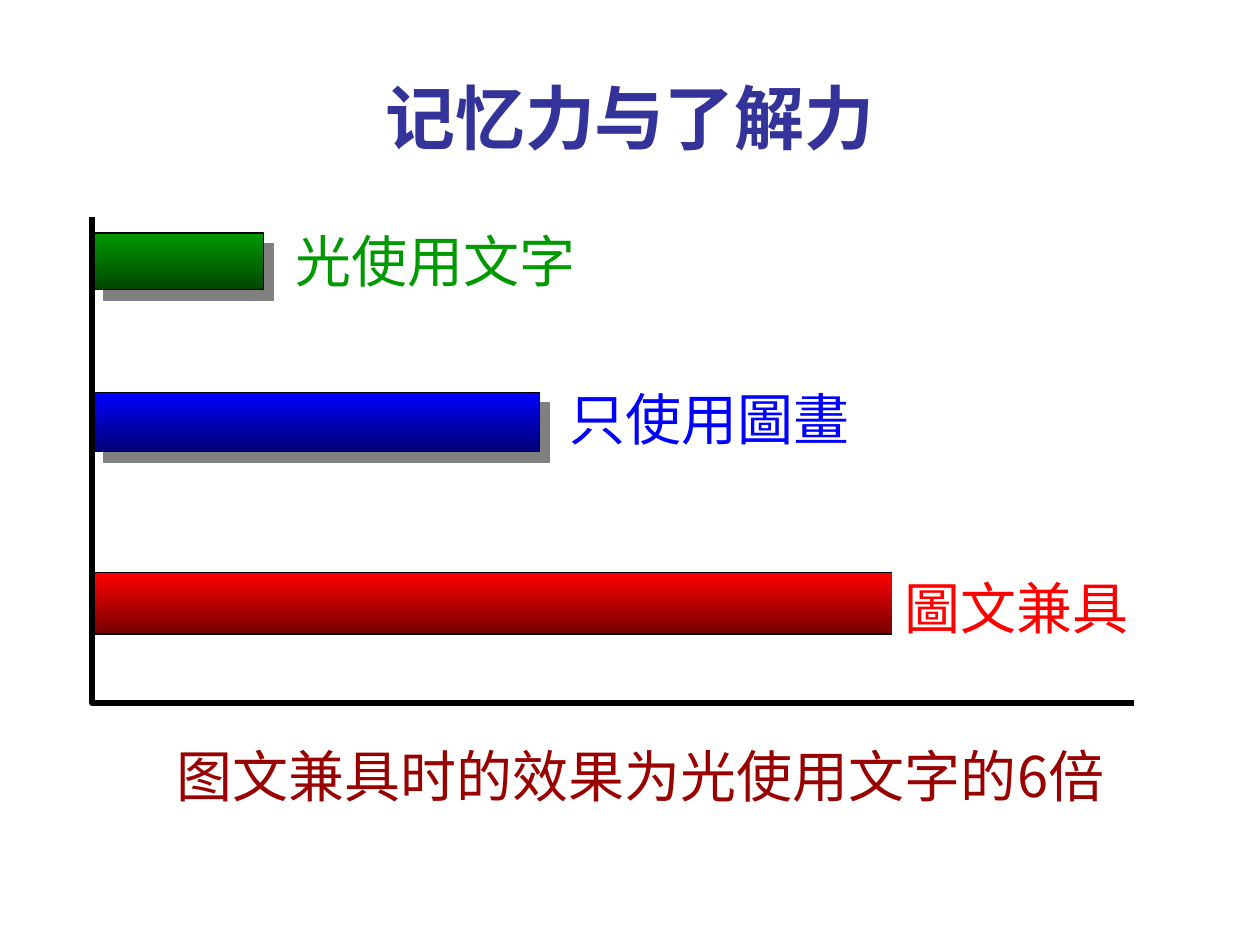
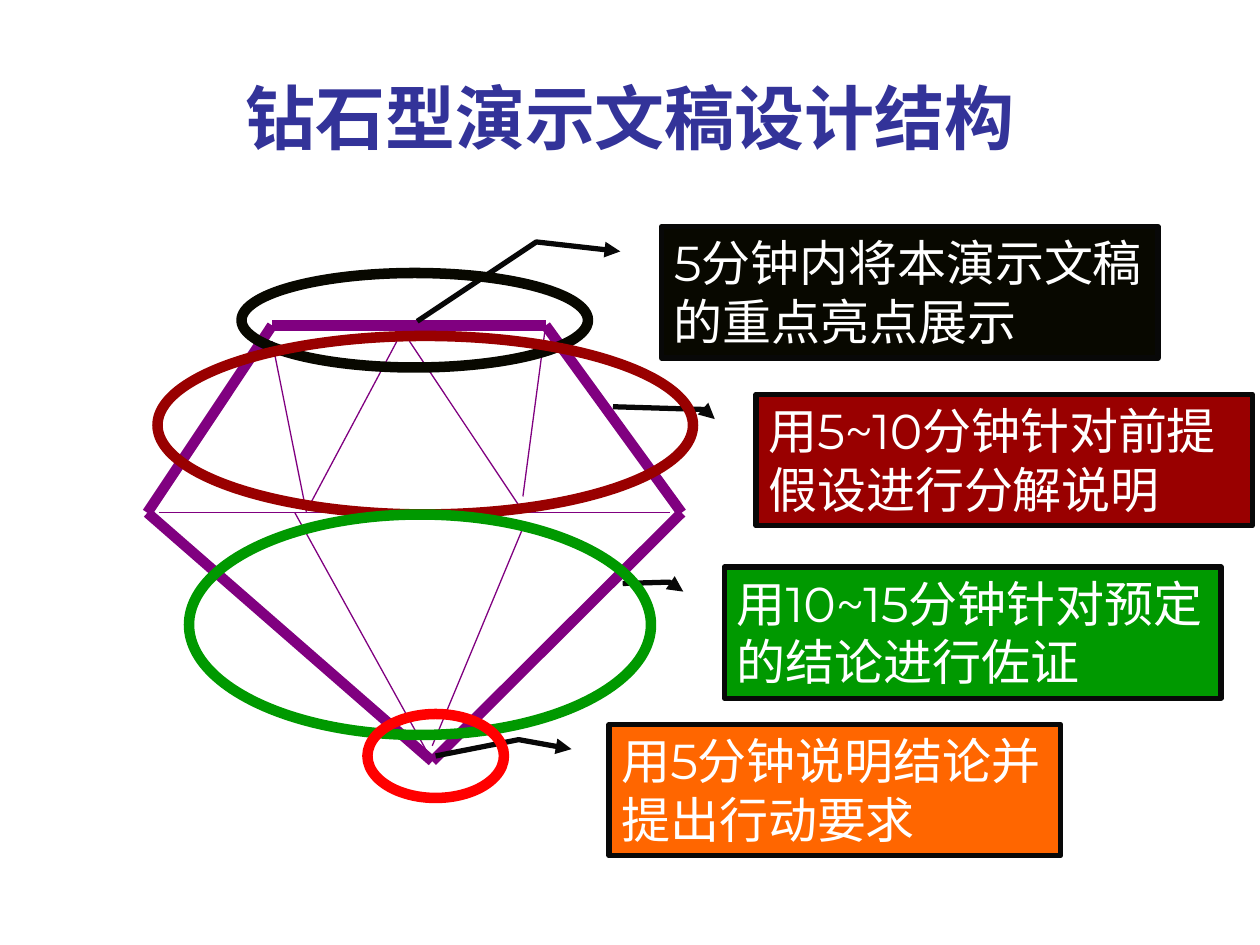
from itertools import pairwise

from lxml import etree
from pptx import Presentation
from pptx.dml.color import RGBColor
from pptx.enum.shapes import MSO_CONNECTOR, MSO_SHAPE
from pptx.enum.text import MSO_ANCHOR, PP_ALIGN
from pptx.oxml.ns import qn
from pptx.util import Pt

RECT, OVAL, CALLOUT = MSO_SHAPE.RECTANGLE, MSO_SHAPE.OVAL, MSO_SHAPE.LINE_CALLOUT_2
STRAIGHT = MSO_CONNECTOR.STRAIGHT
TOP, MIDDLE = MSO_ANCHOR.TOP, MSO_ANCHOR.MIDDLE
LEFT, CENTER = PP_ALIGN.LEFT, PP_ALIGN.CENTER

WHITE = RGBColor(0xFF, 0xFF, 0xFF)
BLACK = RGBColor(0, 0, 0)
INK = RGBColor(0x08, 0x08, 0x08)
OLIVE_BLACK = RGBColor(0x08, 0x08, 0x00)
NAVY = RGBColor(0x33, 0x33, 0x99)
GREEN = RGBColor(0x00, 0x99, 0x00)
DARK_GREEN = RGBColor(0x00, 0x47, 0x00)
BLUE = RGBColor(0x00, 0x00, 0xFF)
DARK_BLUE = RGBColor(0x00, 0x00, 0x76)
RED = RGBColor(0xFF, 0x00, 0x00)
DARK_RED = RGBColor(0x76, 0x00, 0x00)
MAROON = RGBColor(0x99, 0x00, 0x00)
ORANGE = RGBColor(0xFF, 0x66, 0x00)
PURPLE = RGBColor(0x80, 0x00, 0x80)
SHADOW_GREY = "808080"

CJK_FONT = "Noto Sans CJK SC"
TITLE_FONT = {"name": "Arial", "size": Pt(40), "bold": True}
LABEL_FONT = {"name": "Times New Roman", "size": Pt(32)}
CAPTION_FONT = {"name": CJK_FONT, "size": Pt(32)}
CALLOUT_FONT = {"name": "Montserrat", "size": Pt(28)}

# Slide 1: bar top, width, height, shadow; label box; colours
BAR_LEFT = 53.3
BARS = [
    ("光使用文字", (133.2, 97.2, 32.2, True), (162, 126, 186.5, 54.7), GREEN, DARK_GREEN),
    ("只使用圖畫", (224.3, 254.9, 33.8, True), (318.2, 216, 196.6, 40.3), BLUE, DARK_BLUE),
    ("圖文兼具", (327, 457, 35.3, False), (509.8, 324, 162, 40.3), RED, DARK_RED),
]
AXIS = [(52.6, 123.8), (52.6, 401.8), (648, 401.8)]
CAPTION = "图文兼具时的效果为光使用文字的6倍"
CAPTION_BOX = (48, 420, 636, 40.3)

# Slide 2
TOP_LEFT, TOP_RIGHT = (155.5, 186), (311.8, 186)
RIGHT_TIP, BOTTOM_TIP, LEFT_TIP = (389.5, 293), (247, 435), (84.2, 293)
OUTLINE = [TOP_LEFT, TOP_RIGHT, RIGHT_TIP, BOTTOM_TIP, LEFT_TIP, TOP_LEFT]
FACETS = [
    ((90.7, 293), (383, 293)),
    ((168.5, 293), BOTTOM_TIP),
    ((298.8, 301.7), (247, 426.2)),
    ((155.5, 195), (175, 292.3)),
    ((226.8, 195), (175, 292.3)),
    ((234, 195), (298.8, 292.3)),
    (TOP_RIGHT, (298.8, 283.7)),
]
CALLOUT_HEIGHT = 75
LEADER_START = (0.188, -0.083, 0.116)
# text, box left/top/width, rest of leader, fill, ring box, ring colour
STAGES = [
    ("5分钟内将本演示文稿的重点亮点展示", (378, 129.6, 283.7), (-0.252, 0.72, -0.492),
     OLIVE_BLACK, (138, 156, 198, 54), OLIVE_BLACK),
    ("用5~10分钟针对前提假设进行分解说明", (432, 225.4, 283.7), (-0.096, 0.094, -0.288),
     MAROON, (90, 192, 306, 102), MAROON),
    ("用10~15分钟针对预定的结论进行佐证", (414, 324, 283.7), (-0.111, 0.126, -0.205),
     GREEN, (108, 294, 264, 126), GREEN),
    ("用5分钟说明结论并提出行动要求", (348, 414, 258), (-0.2, 0.24, -0.384),
     ORANGE, (210, 408, 78, 48), RED),
]


def points(values):
    return [Pt(value) for value in values]


def write(shape, text, font, color, align=LEFT, anchor=TOP):
    frame = shape.text_frame
    frame.word_wrap = True
    frame.vertical_anchor = anchor
    paragraph = frame.paragraphs[0]
    paragraph.alignment = align
    run = paragraph.add_run()
    run.text = text
    for key, value in font.items():
        setattr(run.font, key, value)
    run.font.color.rgb = color
    etree.SubElement(run.font._element, qn("a:ea"), typeface=CJK_FONT)


def add_box(slide, kind, box, fill=None, line=None, width=0.75):
    shape = slide.shapes.add_shape(kind, *points(box))
    shape.shadow.inherit = False
    if fill is None:
        shape.fill.background()
    else:
        shape.fill.solid()
        shape.fill.fore_color.rgb = fill
    if line is None:
        shape.line.fill.background()
    else:
        shape.line.color.rgb = line
        shape.line.width = Pt(width)
    return shape


def add_bar(slide, top, width, height, shadowed, light, dark):
    bar = add_box(slide, RECT, (BAR_LEFT, top, width, height), light, BLACK)
    bar.fill.gradient()
    bar.fill.gradient_angle = 270
    for stop, color, position in zip(bar.fill.gradient_stops, (light, dark), (0, 1)):
        stop.color.rgb = color
        stop.position = position
    if shadowed:
        effects = bar._element.spPr.find(qn("a:effectLst"))
        shadow = etree.SubElement(effects, qn("a:outerShdw"), dist=str(Pt(8.5)),
                                  dir="2700000", algn="ctr", rotWithShape="0")
        etree.SubElement(shadow, qn("a:srgbClr"), val=SHADOW_GREY)


def add_edge(slide, start, end, width):
    edge = slide.shapes.add_connector(STRAIGHT, *points(start + end))
    edge.line.color.rgb = PURPLE
    edge.line.width = Pt(width)
    etree.SubElement(edge._element.spPr, qn("a:effectLst"))


def add_titled_slide(deck, title):
    slide = deck.slides.add_slide(deck.slide_layouts[6])
    box = slide.shapes.add_textbox(*points((36, 21.6, 648, 90)))
    write(box, title, TITLE_FONT, NAVY, CENTER, MIDDLE)
    return slide


def build_memory_slide(deck):
    slide = add_titled_slide(deck, "记忆力与了解力")
    for text, bar, label_box, light, dark in BARS:
        add_bar(slide, *bar, light, dark)
        write(add_box(slide, RECT, label_box, WHITE), text, LABEL_FONT, light)

    start, *rest = [points(corner) for corner in AXIS]
    builder = slide.shapes.build_freeform(*start)
    builder.add_line_segments(rest, close=False)
    axis = builder.convert_to_shape()
    axis.shadow.inherit = False
    axis.fill.background()
    axis.line.color.rgb = BLACK
    axis.line.width = Pt(3)

    write(add_box(slide, RECT, CAPTION_BOX, WHITE), CAPTION, CAPTION_FONT, MAROON, CENTER)


def build_diamond_slide(deck):
    slide = add_titled_slide(deck, "钻石型演示文稿设计结构")
    for start, end in pairwise(OUTLINE):
        add_edge(slide, start, end, 6)
    for start, end in FACETS:
        add_edge(slide, start, end, 0.75)

    for text, box, leader_end, fill, ring_box, ring_color in STAGES:
        callout = add_box(slide, CALLOUT, (*box, CALLOUT_HEIGHT), fill, INK, 3)
        for index, value in enumerate(LEADER_START + leader_end):
            callout.adjustments[index] = value
        etree.SubElement(callout.line._get_or_add_ln(), qn("a:headEnd"), type="triangle")
        write(callout, text, CALLOUT_FONT, WHITE)
        add_box(slide, OVAL, ring_box, line=ring_color, width=6)


def main():
    deck = Presentation()
    deck.slide_width, deck.slide_height = Pt(720), Pt(540)
    build_memory_slide(deck)
    build_diamond_slide(deck)
    deck.save("out.pptx")


if __name__ == "__main__":
    main()
